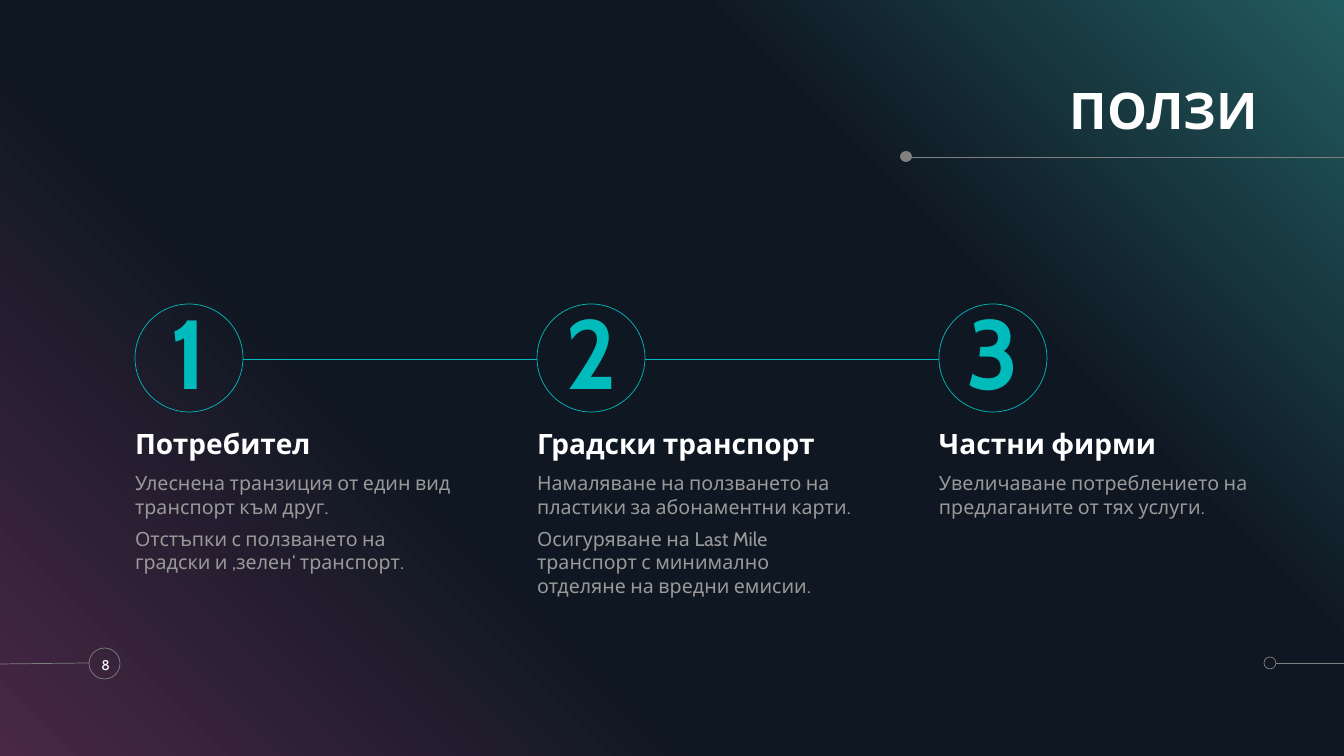
"""Build the benefits slide: three numbered, connected columns on a dark gradient."""
import copy

import pptx
import pptx.dml.color
import pptx.enum.shapes
import pptx.enum.text
import pptx.oxml
import pptx.oxml.ns
import pptx.util

PX = 12192000 / 1344
THEME = {
    "font": "Cabin",
    "white": "FFFFFF",
    "gray": "808080",
    "text": "999999",
    "teal": "00BBBB",
    "gradient": [(0, "482845"), (0.34, "0F1722"), (0.69, "0F1722"), (1, "225B5F")],
    "title": 36,
    "number": 70,
    "heading": 20,
    "body": 14,
    "page": 10,
    "line": 0.5,
}
ALIGN = pptx.enum.text.PP_ALIGN
ANCHOR = pptx.enum.text.MSO_ANCHOR
OVAL = pptx.enum.shapes.MSO_SHAPE.OVAL
rgb = pptx.dml.color.RGBColor.from_string


def emu(*lengths):
    return [round(length * PX) for length in lengths]


def write(box, lines, size, color, bold=False, anchor=ANCHOR.TOP, **paragraph_format):
    frame = box.text_frame
    frame_format = {
        "word_wrap": True, "auto_size": pptx.enum.text.MSO_AUTO_SIZE.NONE,
        "vertical_anchor": anchor, "margin_left": 0, "margin_right": 0,
        "margin_top": 0, "margin_bottom": 0,
    }
    for name, value in frame_format.items():
        setattr(frame, name, value)
    frame.text = "\n".join(lines)
    font_format = {"name": THEME["font"], "size": pptx.util.Pt(THEME[size]), "bold": bold}
    for para in frame.paragraphs:
        for name, value in paragraph_format.items():
            setattr(para, name, value)
        properties = para._p.get_or_add_pPr()
        properties.set("marL", "0")
        properties.set("indent", "0")
        properties.append(pptx.oxml.parse_xml(f"<a:buNone {pptx.oxml.ns.nsdecls('a')}/>"))
        for span in para.runs:
            for name, value in font_format.items():
                setattr(span.font, name, value)
            span.font.color.rgb = rgb(THEME[color])


deck = pptx.Presentation()
deck.slide_width, deck.slide_height = emu(1344, 756)
page = deck.slides.add_slide(deck.slide_layouts.get_by_name("Comparison"))
title, *bodies, spare = page.placeholders
spare._element.getparent().remove(spare._element)

backdrop = page.shapes.add_shape(
    pptx.enum.shapes.MSO_SHAPE.RECTANGLE, *emu(0, 0, 1344, 756))
backdrop.shadow.inherit = False
backdrop.line.fill.background()
backdrop.fill.gradient()
backdrop.fill.gradient_angle = 45
stop_list = backdrop._element.xpath(".//a:gsLst")[0]
for extra in range(2):
    stop_list.append(copy.deepcopy(stop_list[0]))
for stop, (position, color) in zip(backdrop.fill.gradient_stops, THEME["gradient"]):
    stop.position = position
    stop.color.rgb = rgb(color)
page.shapes._spTree.insert(2, backdrop._element)

columns = [
    ("Потребител", ["Улеснена транзиция от един вид транспорт към друг.",
                    "Отстъпки с ползването на градски и ‚зелен‘ транспорт."]),
    ("Градски транспорт", ["Намаляване на ползването на пластики за абонаментни карти.",
                           "Осигуряване на Last Mile транспорт с минимално отделяне на вредни емисии."]),
    ("Частни фирми", ["Увеличаване потреблението на предлаганите от тях услуги."]),
]
LEFT, PITCH, CIRCLE = 135, 402, 108
lefts = [LEFT + PITCH * index for index in range(len(columns))]

lines = [(1344, 157, 908, 157, "gray"), (1276, 663, 1344, 663, "gray"),
         (0, 664, 89, 663, "gray")]
lines += [(left + CIRCLE, 359, left + PITCH, 359, "teal") for left in lefts[:-1]]
for *ends, color in lines:
    line = page.shapes.add_connector(
        pptx.enum.shapes.MSO_CONNECTOR.STRAIGHT, *emu(*ends))
    line.line.color.rgb = rgb(THEME[color])
    line.line.width = pptx.util.Pt(THEME["line"])
    line._element.spPr.append(
        pptx.oxml.parse_xml(f"<a:effectLst {pptx.oxml.ns.nsdecls('a')}/>"))

dot = page.shapes.add_shape(OVAL, *emu(900, 151, 12, 11))
dot.shadow.inherit = False
dot.fill.solid()
dot.fill.fore_color.rgb = rgb(THEME["gray"])
dot.line.fill.background()

rings = [(1264, 657, 12, "gray"), (89, 648, 31, "gray")]
rings += [(left, 304, CIRCLE, "teal") for left in lefts]
circles = []
for left, top, size, color in rings:
    ring = page.shapes.add_shape(OVAL, *emu(left, top, size, size))
    ring.shadow.inherit = False
    ring.fill.background()
    ring.line.color.rgb = rgb(THEME[color])
    ring.line.width = pptx.util.Pt(THEME["line"])
    circles.append(ring)

title.left, title.top, title.width, title.height = emu(562, 78, 696, 62)
write(title, ["ПОЛЗИ"], "title", "white", True, ANCHOR.BOTTOM,
      alignment=ALIGN.RIGHT, line_spacing=0.9)

for number, (left, circle, body, (heading, points)) in enumerate(
        zip(lefts, circles[2:], bodies, columns), 1):
    write(circle, [str(number)], "number", "teal", True, ANCHOR.MIDDLE,
          alignment=ALIGN.CENTER, line_spacing=0.9, space_before=pptx.util.Pt(10))
    label = page.shapes.add_textbox(*emu(left, 425, 325, 36))
    write(label, [heading], "heading", "white", True, ANCHOR.BOTTOM,
          line_spacing=0.9, space_before=pptx.util.Pt(6))
    body.left, body.top, body.width, body.height = emu(left, 471, 325, 156)
    write(body, points, "body", "text", line_spacing=1.0, space_before=pptx.util.Pt(6))

page_number = page.shapes.add_textbox(*emu(86, 648, 39, 33))
write(page_number, ["8"], "page", "white", anchor=ANCHOR.MIDDLE, alignment=ALIGN.CENTER)

deck.save("out.pptx")
